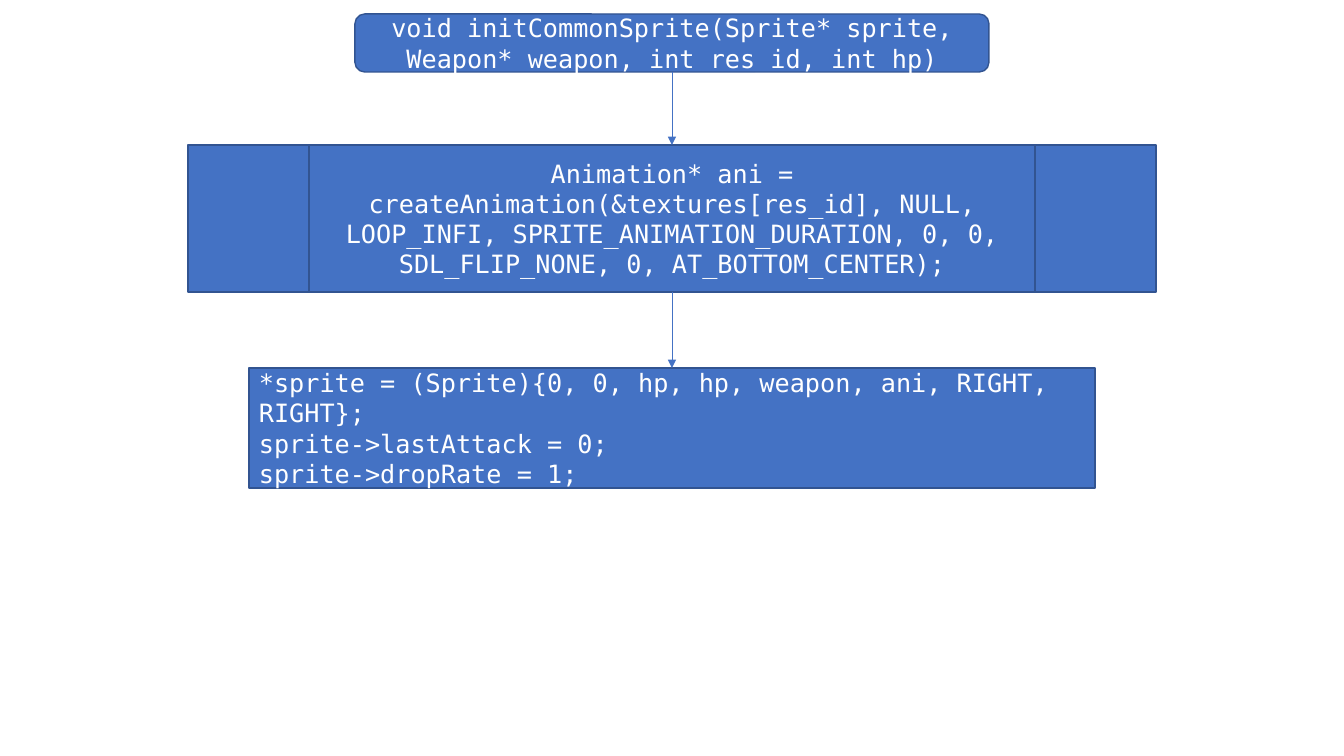
from dataclasses import dataclass

from pptx import Presentation
from pptx.dml.color import RGBColor
from pptx.enum.shapes import MSO_CONNECTOR as Connector, MSO_SHAPE as Shape
from pptx.enum.text import MSO_ANCHOR as Anchor, PP_ALIGN as Align
from pptx.oxml.ns import qn
from pptx.util import Pt
from lxml.etree import SubElement

SLIDE_WIDTH, SLIDE_HEIGHT = 1344, 756
EMU_PER_PX = 12192000 / SLIDE_WIDTH
TOP, BOTTOM = 0, 2


@dataclass(frozen=True)
class Theme:
    fill: RGBColor = RGBColor(0x44, 0x72, 0xC4)
    outline: RGBColor = RGBColor(0x32, 0x54, 0x91)
    text: RGBColor = RGBColor(0xFF, 0xFF, 0xFF)
    font: str = "DejaVu Sans Mono"
    text_size: Pt = Pt(18)
    outline_width: Pt = Pt(1)
    arrow_width: Pt = Pt(0.5)


def px(length):
    return round(length * EMU_PER_PX)


class Flowchart:
    def __init__(self, page, theme):
        self.page = page
        self.theme = theme

    def step(self, kind, top, width, height, lines, align=Align.CENTER):
        """Add a box of code, centred across the slide."""
        left = (SLIDE_WIDTH - width) // 2
        box = self.page.shapes.add_shape(kind, px(left), px(top), px(width), px(height))
        box.shadow.inherit = False
        box.fill.solid()
        box.fill.fore_color.rgb = self.theme.fill
        box.line.color.rgb = self.theme.outline
        box.line.width = self.theme.outline_width
        frame = box.text_frame
        frame.word_wrap = True
        frame.vertical_anchor = Anchor.MIDDLE
        for index, line in enumerate(lines):
            para = frame.add_paragraph() if index else frame.paragraphs[0]
            para.text = line
            para.alignment = align
            para.font.name = self.theme.font
            para.font.size = self.theme.text_size
            para.font.color.rgb = self.theme.text
        return box

    def arrow(self, upper, lower):
        link = self.page.shapes.add_connector(Connector.STRAIGHT, 0, 0, 0, 0)
        link.begin_connect(upper, BOTTOM)
        link.end_connect(lower, TOP)
        link.line.color.rgb = self.theme.fill
        link.line.width = self.theme.arrow_width
        SubElement(link.line._get_or_add_ln(), qn("a:tailEnd"), type="triangle")
        SubElement(link._element.spPr, qn("a:effectLst"))


def main():
    deck = Presentation()
    deck.slide_width, deck.slide_height = px(SLIDE_WIDTH), px(SLIDE_HEIGHT)
    page = deck.slides.add_slide(deck.slide_layouts[6])
    chart = Flowchart(page, Theme())

    signature = chart.step(Shape.ROUNDED_RECTANGLE, 14, 634, 58, [
        "void initCommonSprite(Sprite* sprite, Weapon* weapon, int res_id, int hp)",
    ])
    animation = chart.step(Shape.FLOWCHART_PREDEFINED_PROCESS, 145, 968, 147, [
        "Animation* ani = createAnimation(&textures[res_id], NULL, LOOP_INFI, "
        "SPRITE_ANIMATION_DURATION, 0, 0, SDL_FLIP_NONE, 0, AT_BOTTOM_CENTER);",
    ])
    assignment = chart.step(Shape.RECTANGLE, 368, 846, 120, [
        "*sprite = (Sprite){0, 0, hp, hp, weapon, ani, RIGHT, RIGHT};",
        "sprite->lastAttack = 0;",
        "sprite->dropRate = 1;",
    ], Align.LEFT)
    chart.arrow(signature, animation)
    chart.arrow(animation, assignment)

    deck.save("out.pptx")


if __name__ == "__main__":
    main()
